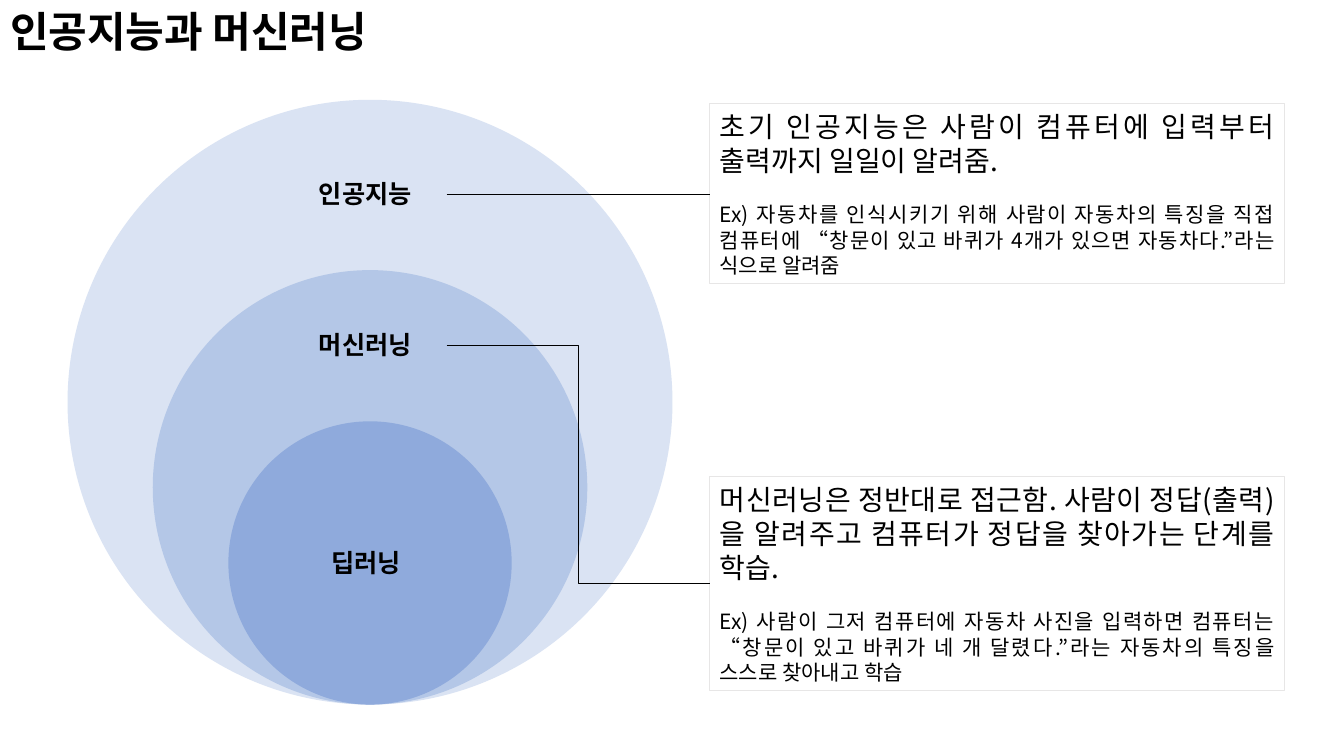
import pptx
import pptx.util
import pptx.dml.color
import pptx.enum.shapes
import pptx.enum.text
import pptx.oxml
import pptx.oxml.ns

Inches, Pt = pptx.util.Inches, pptx.util.Pt
RGBColor = pptx.dml.color.RGBColor
SHAPE = pptx.enum.shapes.MSO_SHAPE
LINE = pptx.enum.shapes.MSO_CONNECTOR
ALIGN = pptx.enum.text.PP_ALIGN
ANCHOR = pptx.enum.text.MSO_ANCHOR
FIT = pptx.enum.text.MSO_AUTO_SIZE

FONT = "Noto Sans CJK KR"
BLACK = RGBColor(0x00, 0x00, 0x00)
BORDER = RGBColor(0xE7, 0xE6, 0xE6)
PALE = RGBColor(0xDA, 0xE3, 0xF3)
LIGHT = RGBColor(0xB4, 0xC7, 0xE7)
MID = RGBColor(0x8F, 0xAA, 0xDC)

TITLE = "인공지능과 머신러닝"
CIRCLES = [(6, PALE), (4.31, LIGHT), (2.81, MID)]
LABELS = [("인공지능", 1.72, 1.21), ("머신러닝", 3.22, 1.21), ("딥러닝", 5.38, 0.96)]
NOTES = [
    (1.03, 1.78, LINE.STRAIGHT, 1.93, 1.93,
     "초기 인공지능은 사람이 컴퓨터에 입력부터 출력까지 일일이 알려줌.",
     "Ex) 자동차를 인식시키기 위해 사람이 자동차의 특징을 직접 컴퓨터에 "
     "“창문이 있고 바퀴가 4개가 있으면 자동차다.”라는 식으로 알려줌"),
    (4.73, 2.12, LINE.ELBOW, 3.43, 5.79,
     "머신러닝은 정반대로 접근함. 사람이 정답(출력)을 알려주고 "
     "컴퓨터가 정답을 찾아가는 단계를 학습.",
     "Ex) 사람이 그저 컴퓨터에 자동차 사진을 입력하면 컴퓨터는 "
     "“창문이 있고 바퀴가 네 개 달렸다.”라는 자동차의 특징을 스스로 찾아내고 학습"),
]
CENTER_X, BASE_Y = 3.67, 6.99
LINE_X, NOTE_X, NOTE_W = 4.43, 7.04, 5.7


def add_run(p, text, size, bold=False):
    """Add one black run in the slide font."""
    r = p.add_run()
    r.text = text
    r.font.name, r.font.size, r.font.bold = FONT, Pt(size), bold
    r.font.color.rgb = BLACK
    ea = pptx.oxml.parse_xml(f'<a:ea {pptx.oxml.ns.nsdecls("a")} typeface="{FONT}"/>')
    r.font._element.find(pptx.oxml.ns.qn("a:latin")).addnext(ea)


def add_circle(s, size, color):
    """Add a circle resting on the common base point."""
    sp = s.shapes.add_shape(SHAPE.OVAL, Inches(CENTER_X - size / 2), Inches(BASE_Y - size),
                            Inches(size), Inches(size))
    sp.shadow.inherit = False
    sp.fill.solid()
    sp.fill.fore_color.rgb = color
    sp.line.fill.background()


def add_label(s, text, top, width):
    """Add a bold circle label."""
    sp = s.shapes.add_textbox(Inches(CENTER_X - width / 2), Inches(top),
                              Inches(width), Inches(0.4))
    tf = sp.text_frame
    tf.word_wrap = False
    tf.auto_size = FIT.SHAPE_TO_FIT_TEXT
    add_run(tf.paragraphs[0], text, 18, True)


def add_note(s, top, height, kind, start_y, end_y, summary, example):
    """Add an explanation box and the line leading to it."""
    sp = s.shapes.add_shape(SHAPE.RECTANGLE, Inches(NOTE_X), Inches(top),
                            Inches(NOTE_W), Inches(height))
    sp.shadow.inherit = False
    sp.fill.background()
    sp.line.color.rgb, sp.line.width = BORDER, Pt(0.75)
    tf = sp.text_frame
    tf.word_wrap = True
    tf.auto_size = FIT.SHAPE_TO_FIT_TEXT
    tf.vertical_anchor = ANCHOR.MIDDLE
    for p, text, size, gap in [(tf.paragraphs[0], summary, 20, 0),
                               (tf.add_paragraph(), example, 15, 18)]:
        p.alignment = ALIGN.JUSTIFY
        p.space_before = Pt(gap)
        add_run(p, text, size)
    line = s.shapes.add_connector(kind, Inches(LINE_X), Inches(start_y),
                                  Inches(NOTE_X), Inches(end_y))
    line.line.color.rgb, line.line.width = BLACK, Pt(0.5)
    line._element.spPr.append(pptx.oxml.parse_xml(
        f'<a:effectLst {pptx.oxml.ns.nsdecls("a")}/>'))


def add_title(s):
    """Place and format the title along the top edge."""
    sp = s.shapes.title
    sp.left, sp.top, sp.width, sp.height = Inches(0), Inches(0), Inches(13.33), Inches(0.61)
    tf = sp.text_frame
    tf.word_wrap = True
    tf.auto_size = FIT.SHAPE_TO_FIT_TEXT
    tf.vertical_anchor = ANCHOR.TOP
    tf.paragraphs[0].alignment = ALIGN.LEFT
    add_run(tf.paragraphs[0], TITLE, 30, True)


def main():
    """Build the slide and save it."""
    prs = pptx.Presentation()
    prs.slide_width, prs.slide_height = Inches(13.33), Inches(7.5)
    s = prs.slides.add_slide(prs.slide_layouts[5])
    add_title(s)
    for circle in CIRCLES:
        add_circle(s, *circle)
    for label in LABELS:
        add_label(s, *label)
    for note in NOTES:
        add_note(s, *note)
    prs.save("out.pptx")


if __name__ == "__main__":
    main()
